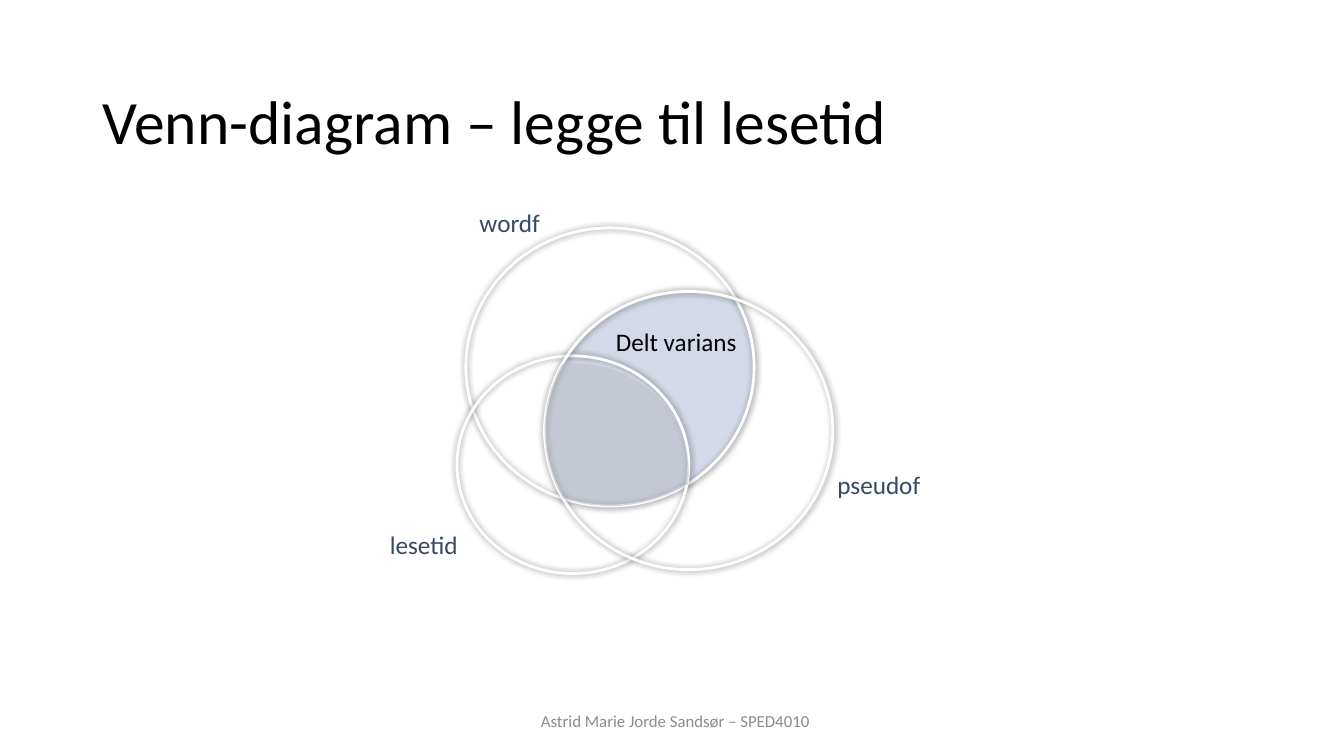
from itertools import pairwise
from math import cos, radians, sin, tan

from lxml.etree import SubElement
from pptx import Presentation
from pptx.dml.color import RGBColor
from pptx.enum.shapes import MSO_SHAPE
from pptx.enum.text import MSO_ANCHOR, MSO_AUTO_SIZE, PP_ALIGN
from pptx.oxml import parse_xml
from pptx.oxml.ns import nsdecls, qn
from pptx.util import Pt

BLACK = RGBColor(0x00, 0x00, 0x00)
WHITE = RGBColor(0xFF, 0xFF, 0xFF)
NAVY = RGBColor(0x36, 0x49, 0x65)
GRAY = RGBColor(0x8C, 0x8C, 0x8C)
SHARED_BLUE = RGBColor(0x92, 0xAB, 0xF5)
CORE_GRAY = RGBColor(0xB7, 0xBA, 0xC0)
FONT = "Calibri"

WORDF = (332.8, 162.8, 205.9, 198.7)
PSEUDOF = (389, 208.2, 205.9, 198.7)
LESETID = (326.4, 254.2, 165.6, 155.5)
LESETID_INNER = (326.4, 259.3, 165.6, 155.5)

SHARED_ARCS = [
    (PSEUDOF, (150.78, 180, 270, 289.08)),
    (WORDF, (-29.22, 0, 90, 109.08)),
]
CORE_ARCS = [
    (PSEUDOF, (150.78, 180, 208.86)),
    (LESETID_INNER, (264.87, 270, 360, 366.5)),
    (WORDF, (57.23, 90, 109.08)),
]

LABELS = [
    ("wordf", 339.6, 145.4, 49, NAVY),
    ("pseudof", 595.2, 332.4, 65.5, NAVY),
    ("Delt varians", 437, 230.2, 92.9, BLACK),
    ("lesetid", 275.6, 375.4, 54.7, NAVY),
]


def set_font(p, size, color):
    p.font.name = FONT
    p.font.size = Pt(size)
    p.font.color.rgb = color


def set_alpha(fill, percent):
    color = fill._xPr.find(qn("a:solidFill"))[0]
    SubElement(color, qn("a:alpha"), val=str(percent * 1000))


def add_glow_shadow(sp):
    sp.shadow.inherit = False
    effects = sp._element.spPr.find(qn("a:effectLst"))
    effects.append(parse_xml(
        f'<a:outerShdw {nsdecls("a")} blurRad="{Pt(5)}" dist="0" dir="16200000" rotWithShape="0">'
        '<a:srgbClr val="000000"><a:alpha val="50000"/></a:srgbClr></a:outerShdw>'))


def set_white_line(sp):
    sp.line.color.rgb = WHITE
    sp.line.width = Pt(2)


def arc_point(ellipse, angle, pull=0):
    left, top, width, height = ellipse
    a = radians(angle)
    x = left + width / 2 * (1 + cos(a) - pull * sin(a))
    y = top + height / 2 * (1 + sin(a) + pull * cos(a))
    return Pt(x), Pt(y)


def curve_points(arcs):
    points = [arc_point(arcs[0][0], arcs[0][1][0])]
    for ellipse, angles in arcs:
        for start, end in pairwise(angles):
            pull = 4 / 3 * tan(radians(end - start) / 4)
            points += [arc_point(ellipse, start, pull), arc_point(ellipse, end, -pull),
                       arc_point(ellipse, end)]
    return points


def add_region(s, arcs, color, alpha):
    first, *others = curve_points(arcs)
    builder = s.shapes.build_freeform(*first)
    builder.add_line_segments(others, close=True)
    sp = builder.convert_to_shape()
    segments = list(sp._element.iter(qn("a:lnTo")))
    for i in range(0, len(others), 3):
        curve = parse_xml(f'<a:cubicBezTo {nsdecls("a")}/>')
        segments[i].addprevious(curve)
        for segment in segments[i:i + 3]:
            curve.append(segment[0])
    for segment in segments:
        segment.getparent().remove(segment)
    sp.shadow.inherit = False
    sp.fill.solid()
    sp.fill.fore_color.rgb = color
    set_alpha(sp.fill, alpha)
    sp.line.fill.background()
    return sp


def add_circle(s, ellipse):
    sp = s.shapes.add_shape(MSO_SHAPE.OVAL, *map(Pt, ellipse))
    sp.fill.background()
    set_white_line(sp)
    add_glow_shadow(sp)


def add_text(s, text, box, size, color):
    sp = s.shapes.add_textbox(*map(Pt, box))
    tf = sp.text_frame
    tf.vertical_anchor = MSO_ANCHOR.MIDDLE
    p = tf.paragraphs[0]
    p.text = text
    set_font(p, size, color)
    return tf


def add_label(s, text, left, top, width, color):
    tf = add_text(s, text, (left, top, width, 27.4), 18, color)
    tf.margin_left = tf.margin_right = tf.margin_top = tf.margin_bottom = Pt(2.9)
    tf.word_wrap = False
    tf.auto_size = MSO_AUTO_SIZE.SHAPE_TO_FIT_TEXT


def add_title(s, text):
    title = s.shapes.title
    title.left, title.top, title.width, title.height = map(Pt, (66, 45.4, 877.7, 87.8))
    tf = title.text_frame
    tf.vertical_anchor = MSO_ANCHOR.MIDDLE
    p = tf.paragraphs[0]
    p.text = text
    p.alignment = PP_ALIGN.LEFT
    p.line_spacing = 0.9
    set_font(p, 44, BLACK)


def add_footer(s, text):
    tf = add_text(s, text, (177.8, 500.4, 612, 28.8), 12, GRAY)
    tf.word_wrap = True
    tf.paragraphs[0].alignment = PP_ALIGN.CENTER


def main():
    prs = Presentation()
    prs.slide_width, prs.slide_height = Pt(960), Pt(540)
    s = prs.slides.add_slide(prs.slide_layouts[5])

    add_title(s, "Venn-diagram – legge til lesetid")
    add_footer(s, "Astrid Marie Jorde Sandsør – SPED4010 ")

    shared = add_region(s, SHARED_ARCS, SHARED_BLUE, 20)
    set_white_line(shared)
    set_alpha(shared.line.fill, 20)
    add_glow_shadow(shared)

    for ellipse in (WORDF, LESETID, PSEUDOF):
        add_circle(s, ellipse)
    add_region(s, CORE_ARCS, CORE_GRAY, 54)

    for label in LABELS:
        add_label(s, *label)

    prs.save("out.pptx")


if __name__ == "__main__":
    main()
